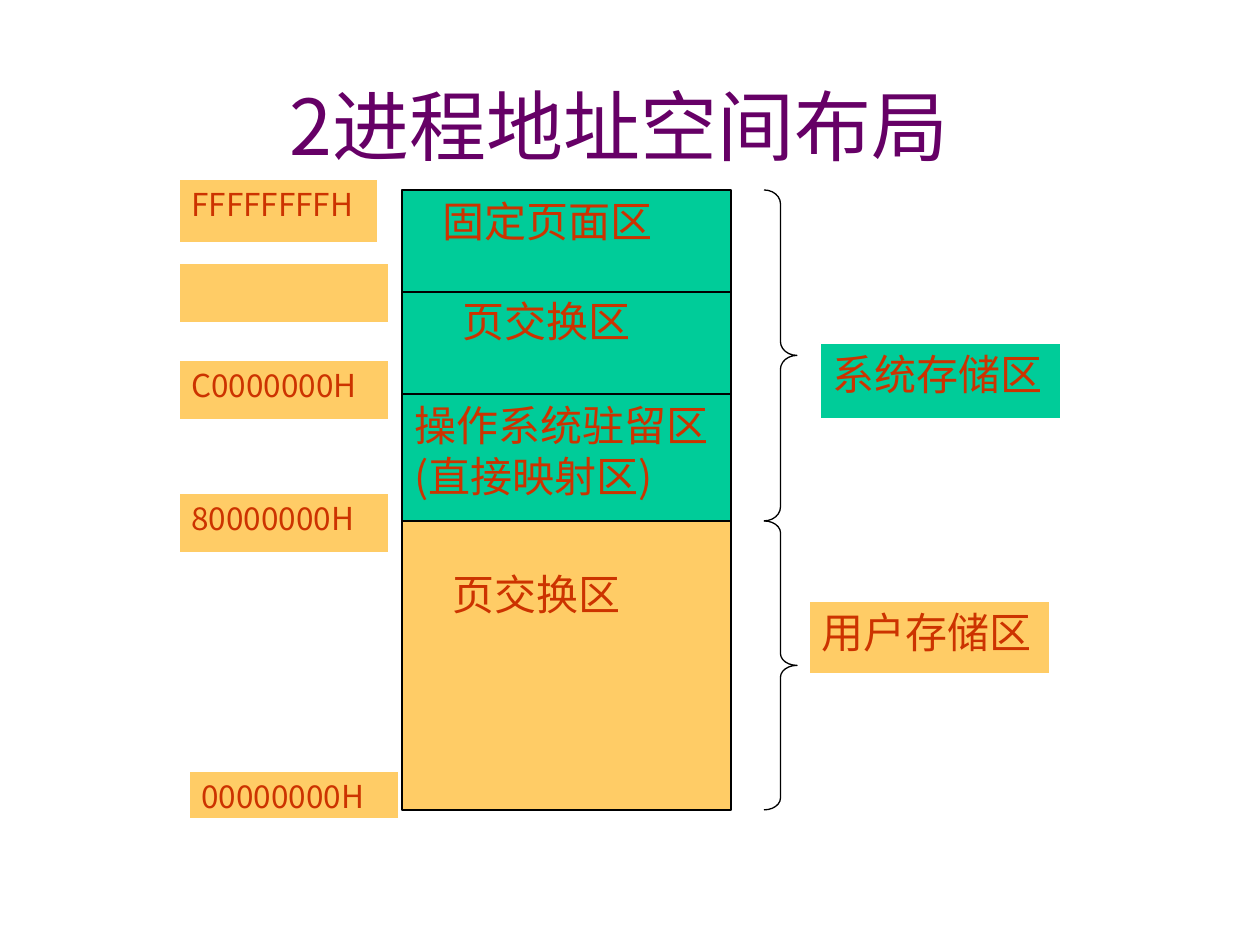
from lxml.etree import SubElement
from pptx import Presentation
from pptx.dml.color import RGBColor
from pptx.enum.shapes import MSO_CONNECTOR, MSO_SHAPE
from pptx.enum.text import MSO_ANCHOR, PP_ALIGN
from pptx.oxml.ns import qn
from pptx.util import Pt

PX = 914400 // 126
FONT = "Noto Sans CJK JP"
PURPLE = RGBColor(0x66, 0x00, 0x66)
RED = RGBColor(0xCC, 0x33, 0x00)
GREEN = RGBColor(0x00, 0xCC, 0x99)
YELLOW = RGBColor(0xFF, 0xCC, 0x66)
BLACK = RGBColor(0x00, 0x00, 0x00)
WHITE = RGBColor(0xFF, 0xFF, 0xFF)


class SlideBuilder:
    def __init__(self, slide):
        self.slide = slide

    def box(self, *lengths):
        return [length * PX for length in lengths]

    def add_text(self, paragraph, text, size, color):
        run = paragraph.add_run()
        run.text = text
        run.font.name = FONT
        run.font.size = Pt(size)
        run.font.color.rgb = color
        SubElement(run.font._element, qn("a:ea")).set("typeface", FONT)

    def title(self, text, left, top, width, height):
        shape = self.slide.shapes.title
        shape.left, shape.top, shape.width, shape.height = self.box(left, top, width, height)
        shape.text_frame.vertical_anchor = MSO_ANCHOR.MIDDLE
        paragraph = shape.text_frame.paragraphs[0]
        paragraph.alignment = PP_ALIGN.CENTER
        self.add_text(paragraph, text, 44, PURPLE)

    def outline(self, shape):
        shape.shadow.inherit = False
        shape.line.color.rgb = BLACK
        shape.line.width = Pt(0.75)

    def rectangle(self, left, top, width, height, fill, line, lines=(), size=24, inset=6, gap=0):
        shape = self.slide.shapes.add_shape(MSO_SHAPE.RECTANGLE, *self.box(left, top, width, height))
        self.outline(shape)
        shape.line.color.rgb = line
        shape.fill.solid()
        shape.fill.fore_color.rgb = fill
        frame = shape.text_frame
        frame.word_wrap = True
        frame.vertical_anchor = MSO_ANCHOR.TOP
        frame.margin_top = inset * PX
        for index, (text, indent) in enumerate(lines):
            paragraph = frame.add_paragraph() if index else frame.paragraphs[0]
            paragraph.alignment = PP_ALIGN.LEFT
            paragraph._p.get_or_add_pPr().set("marL", str(indent * PX))
            if index and gap:
                paragraph.space_before = Pt(gap)
            self.add_text(paragraph, text, size, RED)

    def divider(self, left, right, y):
        connector = self.slide.shapes.add_connector(MSO_CONNECTOR.STRAIGHT, *self.box(left, y, right, y))
        connector.line.color.rgb = BLACK
        connector.line.width = Pt(0.75)
        SubElement(connector._element.spPr, qn("a:effectLst"))

    def brace(self, left, top, width, height, curve):
        shape = self.slide.shapes.add_shape(MSO_SHAPE.RIGHT_BRACE, *self.box(left, top, width, height))
        self.outline(shape)
        shape.fill.background()
        shape.adjustments[0] = curve


def main():
    presentation = Presentation()
    presentation.slide_width = 1260 * PX
    presentation.slide_height = 945 * PX
    builder = SlideBuilder(presentation.slides.add_slide(presentation.slide_layouts[5]))

    builder.title("2进程地址空间布局", 84, 69, 1071, 111)

    left, width = 402, 329
    top, swap, resident, user, bottom = 190, 292, 394, 521, 810
    builder.rectangle(left, top, width, 281, GREEN, BLACK, [("固定页面区", 28), ("页交换区", 48)], gap=28)
    builder.rectangle(left, resident, width, user - resident, GREEN, BLACK,
                      [("操作系统驻留区", 0), ("(直接映射区)", 0)])
    builder.rectangle(left, user, width, bottom - user, YELLOW, BLACK, [("页交换区", 38)], inset=48)
    for y in (swap, resident):
        builder.divider(left, left + width, y)

    builder.brace(764, top, 33, user - top, 0.42)
    builder.rectangle(820, 343, 241, 76, GREEN, WHITE, [("系统存储区", 0)])
    builder.brace(764, user, 33, bottom - user, 0.36)
    builder.rectangle(809, 601, 241, 73, YELLOW, WHITE, [("用户存储区", 0)])

    for text, x, y, label_width, height in (
        ("C0000000H", 179, 360, 210, 60),
        ("80000000H", 179, 493, 210, 60),
        ("00000000H", 189, 771, 210, 48),
        ("", 179, 263, 210, 60),
        ("FFFFFFFFH", 179, 179, 199, 64),
    ):
        lines = [(text, 0)] if text else []
        builder.rectangle(x, y, label_width, height, YELLOW, WHITE, lines, size=18)

    presentation.save("out.pptx")


if __name__ == "__main__":
    main()
